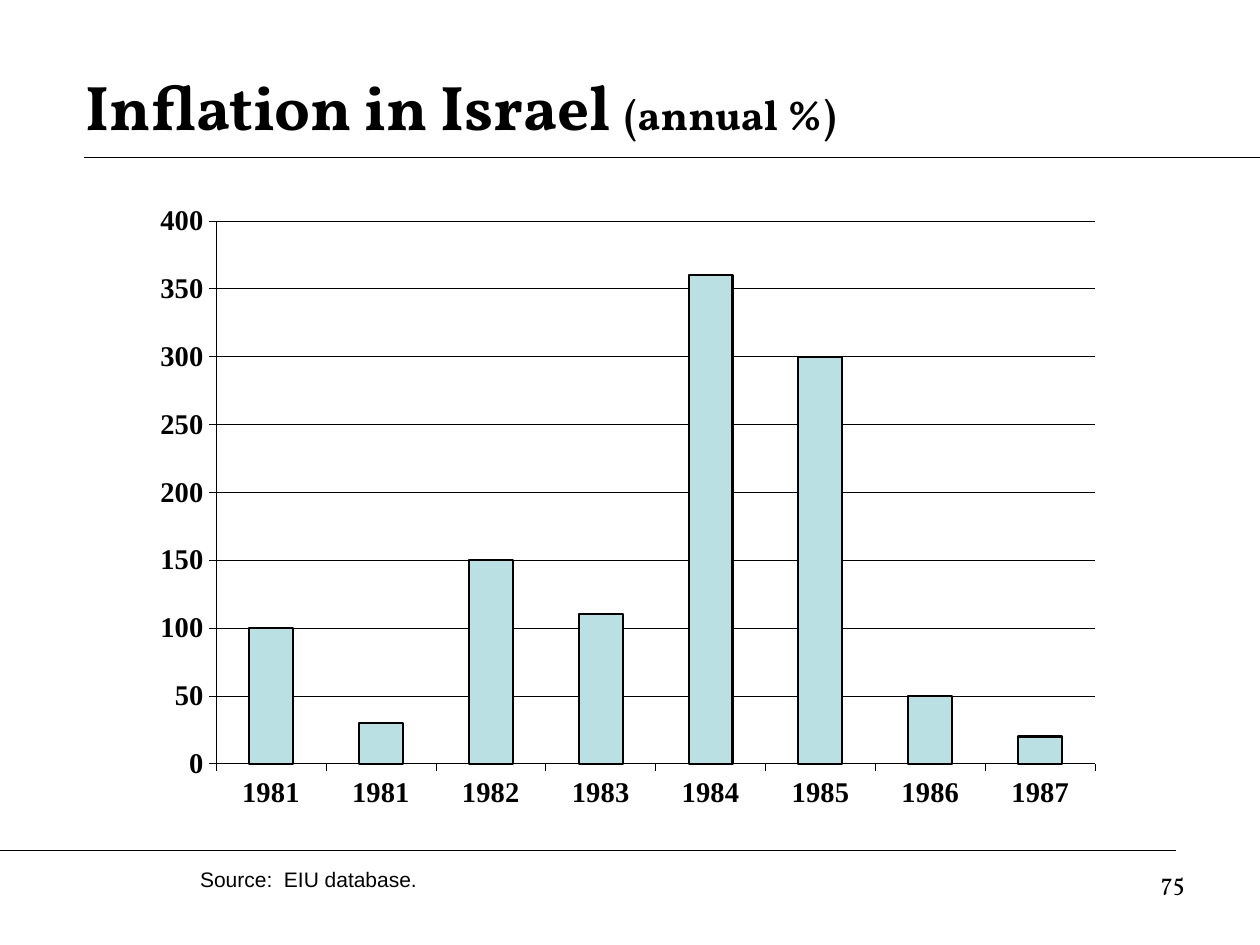
from lxml.etree import SubElement
from pptx import Presentation
from pptx.chart.data import CategoryChartData
from pptx.dml.color import RGBColor
from pptx.enum.chart import XL_CHART_TYPE, XL_TICK_LABEL_POSITION, XL_TICK_MARK
from pptx.enum.shapes import MSO_CONNECTOR
from pptx.enum.text import MSO_ANCHOR, MSO_AUTO_SIZE, PP_ALIGN
from pptx.oxml.ns import qn
from pptx.util import Inches, Pt

COLORS = {"ink": "000000", "bar": "BBE0E3"}
TITLE = [("Inflation in Israel ", 36, "Vollkorn", True),
         ("(annual %)", 24, "Vollkorn", True)]
SOURCE = [("Source:  EIU database.", 12, "Arial", False)]
PAGE = [("75", 14, "Vollkorn", False)]
RATES = [("1981", 100), ("1981", 30), ("1982", 150), ("1983", 110),
         ("1984", 360), ("1985", 300), ("1986", 50), ("1987", 20)]
RULES = [(0.67, 10, 1.25), (0, 9.33, 6.75), (1.25, 10, 1.25), (0, 7.08, 6.75)]
PLOT = {"x": 0.075, "y": 0.04, "w": 0.911, "h": 0.85}


def tint(name):
    return RGBColor.from_string(COLORS[name])


def style(font, size, face, bold):
    font.size, font.name, font.bold = Pt(size), face, bold
    font.color.rgb = tint("ink")


def stroke(line, width):
    line.color.rgb = tint("ink")
    line.width = Pt(width)


def add_rule(slide, left, right, top):
    rule = slide.shapes.add_connector(
        MSO_CONNECTOR.STRAIGHT, Inches(left), Inches(top), Inches(right), Inches(top))
    stroke(rule.line, 0.75)
    SubElement(rule._element.spPr, qn("a:effectLst"))


def add_text(slide, box, runs, align=PP_ALIGN.LEFT, anchor=MSO_ANCHOR.TOP):
    frame = slide.shapes.add_textbox(*map(Inches, box)).text_frame
    frame.word_wrap = True
    frame.vertical_anchor = anchor
    para = frame.paragraphs[0]
    para.alignment = align
    for text, *look in runs:
        run = para.add_run()
        run.text = text
        style(run.font, *look)
    return frame


def set_plot(chart):
    area = chart._chartSpace.chart.plotArea
    layout = area.find(qn("c:layout"))
    if layout is None:
        layout = SubElement(area, qn("c:layout"))
        area.insert(0, layout)
    manual = SubElement(layout, qn("c:manualLayout"))
    parts = [("layoutTarget", "inner"), ("xMode", "edge"), ("yMode", "edge")]
    for tag, val in parts + list(PLOT.items()):
        SubElement(manual, qn("c:" + tag)).set("val", str(val))


def add_bars(slide, box):
    data = CategoryChartData(number_format="0")
    data.categories = [year for year, rate in RATES]
    data.add_series("Series 1", [rate for year, rate in RATES])
    chart = slide.shapes.add_chart(
        XL_CHART_TYPE.COLUMN_CLUSTERED, *map(Inches, box), data).chart
    chart.has_legend = chart.has_title = False
    style(chart.font, 21, "Times New Roman", True)
    for axis in (chart.category_axis, chart.value_axis):
        axis.major_tick_mark = XL_TICK_MARK.OUTSIDE
        axis.minor_tick_mark = XL_TICK_MARK.NONE
        style(axis.tick_labels.font, 16.3, "Times New Roman", True)
        stroke(axis.format.line, 0.29)
    chart.category_axis.tick_label_position = XL_TICK_LABEL_POSITION.LOW
    scale = chart.value_axis
    scale.minimum_scale, scale.maximum_scale, scale.major_unit = 0, 400, 50
    scale.tick_labels.number_format = "0"
    scale.tick_labels.number_format_is_linked = False
    stroke(scale.major_gridlines.format.line, 0.29)
    plot = chart.plots[0]
    plot.gap_width = 150
    plot.vary_by_categories = False
    bars = plot.series[0].format
    bars.fill.solid()
    bars.fill.fore_color.rgb = tint("bar")
    stroke(bars.line, 1.17)
    set_plot(chart)


def main():
    deck = Presentation()
    deck.slide_width, deck.slide_height = Inches(10), Inches(7.5)
    slide = deck.slides.add_slide(deck.slide_layouts[6])
    for rule in RULES:
        add_rule(slide, *rule)
    add_text(slide, (7.17, 6.83, 2.33, 0.52), PAGE, align=PP_ALIGN.RIGHT)
    add_text(slide, (0.58, 0.42, 8.67, 0.83), TITLE, anchor=MSO_ANCHOR.MIDDLE)
    add_bars(slide, (1.14, 1.55, 7.66, 5.07))
    note = add_text(slide, (1.49, 6.83, 2.93, 0.3), SOURCE)
    note.auto_size = MSO_AUTO_SIZE.SHAPE_TO_FIT_TEXT
    deck.save("out.pptx")


if __name__ == "__main__":
    main()
